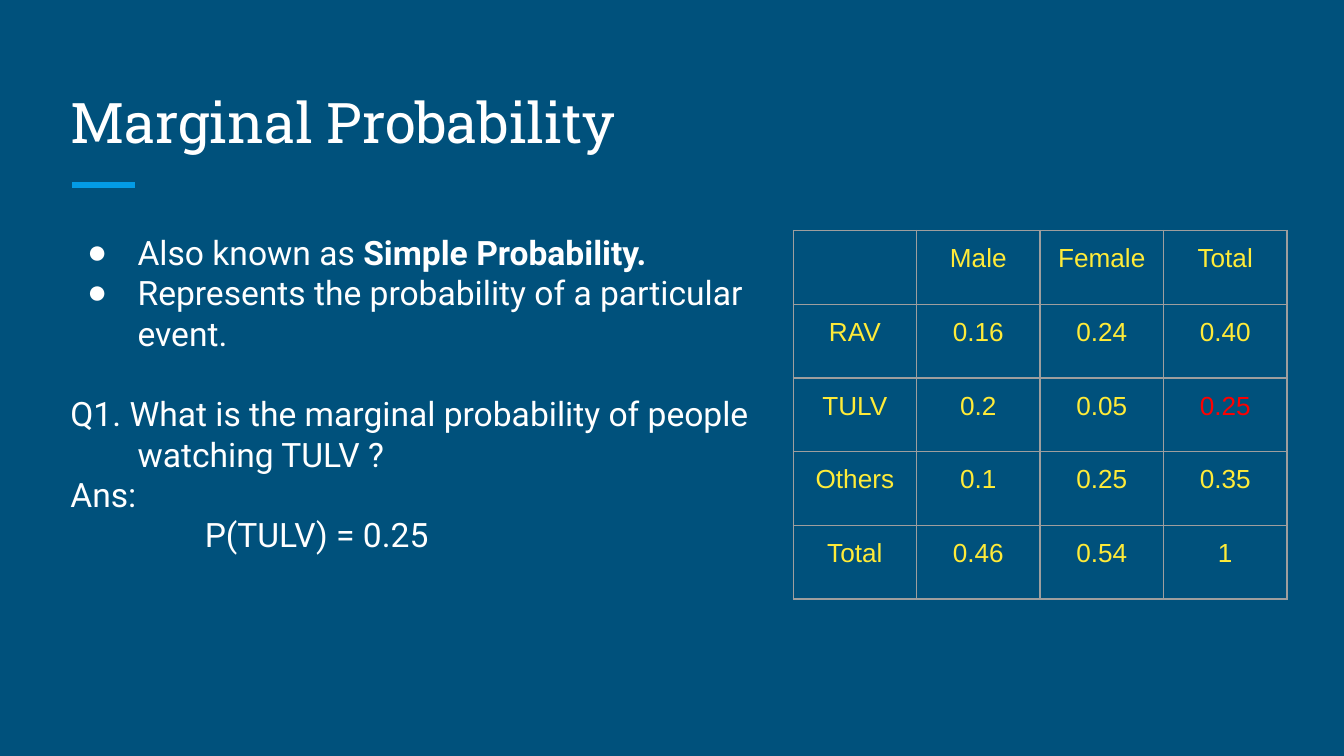
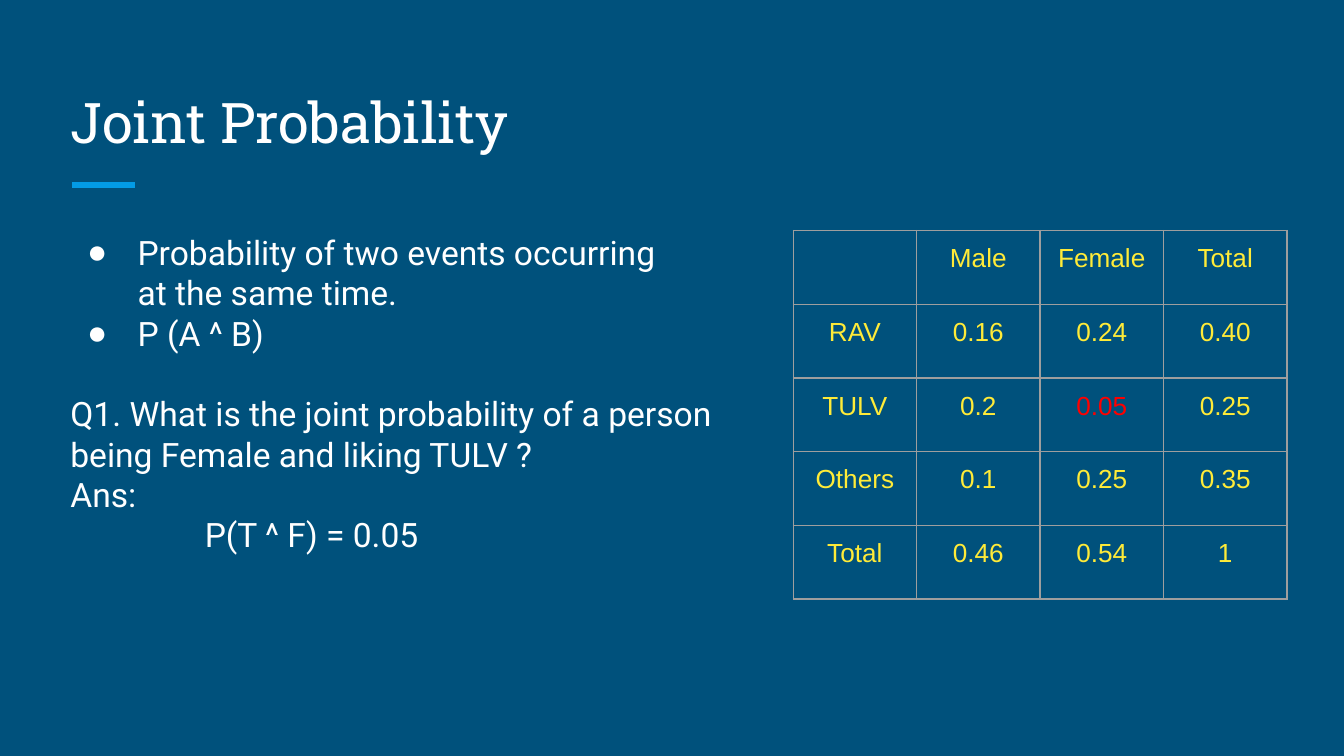
from dataclasses import dataclass

from lxml.etree import SubElement
from pptx import Presentation
from pptx.dml.color import RGBColor
from pptx.enum.shapes import MSO_CONNECTOR
from pptx.enum.text import MSO_ANCHOR, MSO_AUTO_SIZE, PP_ALIGN
from pptx.oxml import parse_xml
from pptx.oxml.ns import nsdecls, qn
from pptx.util import Pt


@dataclass(frozen=True)
class Theme:
    background: str = "00517C"
    accent: str = "039BE5"
    text: str = "FFFFFF"
    table_text: str = "FFEB38"
    highlight: str = "FF0000"
    border: str = "9E9E9E"
    title_font: str = "Roboto Slab"
    body_font: str = "Roboto"
    bullet_font: str = "Arial"
    table_font: str = "Arial"
    title_size: float = 30
    body_size: float = 18
    table_size: float = 14
    body_line: float = 21.6
    accent_width: float = 3
    border_width: float = 0.75
    inset: float = 7.2


THEME = Theme()

FIRST_SHOW = "RAV"
SECOND_SHOW = "TULV"

PROBABILITIES = [
    ["", "Male", "Female", "Total"],
    [FIRST_SHOW, "0.16", "0.24", "0.40"],
    [SECOND_SHOW, "0.2", "0.05", "0.25"],
    ["Others", "0.1", "0.25", "0.35"],
    ["Total", "0.46", "0.54", "1"],
]

BULLET = {"indent": 36, "hanging": 27, "bullet": "●"}
CONTINUATION = {"indent": 36}
QUESTION = {"space_before": THEME.body_line}
ANSWER = {"indent": 72}

SLIDES = [
    {
        "title": "Marginal Probability",
        "lines": [
            ([("Also known as ", False), ("Simple Probability.", True)], BULLET),
            ("Represents the probability of a particular", BULLET),
            ("event.", CONTINUATION),
            ("Q1. What is the marginal probability of people", QUESTION),
            (f"watching {SECOND_SHOW} ?", CONTINUATION),
            ("Ans:", {}),
            (f"P({SECOND_SHOW}) = 0.25", ANSWER),
        ],
        "highlighted": (2, 3),
    },
    {
        "title": "Joint Probability",
        "lines": [
            ("Probability of two events occurring", BULLET),
            ("at the same time.", CONTINUATION),
            ("P (A ^ B)", BULLET),
            ("Q1. What is the joint probability of a person", QUESTION),
            (f"being Female and liking {SECOND_SHOW} ?", {}),
            ("Ans:", {}),
            ("P(T ^ F) = 0.05", ANSWER),
        ],
        "highlighted": (2, 2),
    },
]


def write_text(paragraph, text, *, font, size, color, alignment=PP_ALIGN.LEFT,
               line_spacing=None, space_before=0, indent=0, hanging=0, bullet=None):
    paragraph.alignment = alignment
    paragraph.space_before = Pt(space_before)
    paragraph.space_after = Pt(0)
    if line_spacing:
        paragraph.line_spacing = Pt(line_spacing)
    properties = paragraph._p.get_or_add_pPr()
    properties.set("marL", str(Pt(indent)))
    properties.set("indent", str(-Pt(hanging)))
    if bullet:
        bullet_color = SubElement(properties, qn("a:buClr"))
        SubElement(bullet_color, qn("a:srgbClr"), val=color)
        SubElement(properties, qn("a:buFont"), typeface=THEME.bullet_font)
        SubElement(properties, qn("a:buChar"), char=bullet)
    else:
        SubElement(properties, qn("a:buNone"))
    pieces = [(text, False)] if isinstance(text, str) else text
    for content, bold in pieces:
        run = paragraph.add_run()
        run.text = content
        run.font.name = font
        run.font.size = Pt(size)
        run.font.bold = bold
        run.font.color.rgb = RGBColor.from_string(color)


def place_frame(placeholder, left, top, width, height, anchor):
    placeholder.left, placeholder.top = Pt(left), Pt(top)
    placeholder.width, placeholder.height = Pt(width), Pt(height)
    frame = placeholder.text_frame
    frame.auto_size = MSO_AUTO_SIZE.NONE
    frame.word_wrap = True
    frame.vertical_anchor = anchor
    set_margins(frame)
    return frame


def set_margins(container):
    container.margin_left = container.margin_right = Pt(THEME.inset)
    container.margin_top = container.margin_bottom = Pt(THEME.inset)


def add_accent(slide):
    connector = slide.shapes.add_connector(
        MSO_CONNECTOR.STRAIGHT, Pt(38.6), Pt(99), Pt(72.3), Pt(99))
    connector.line.color.rgb = RGBColor.from_string(THEME.accent)
    connector.line.width = Pt(THEME.accent_width)
    SubElement(connector._element.spPr, qn("a:effectLst"))


def add_title(slide, title):
    frame = place_frame(slide.shapes.title, 30.5, 36, 659, 54, MSO_ANCHOR.BOTTOM)
    write_text(frame.paragraphs[0], title, font=THEME.title_font,
               size=THEME.title_size, color=THEME.text)


def add_body(slide, lines):
    frame = place_frame(slide.placeholders[1], 30.5, 117, 659, 243, MSO_ANCHOR.TOP)
    for index, (text, layout) in enumerate(lines):
        paragraph = frame.add_paragraph() if index else frame.paragraphs[0]
        write_text(paragraph, text, font=THEME.body_font, size=THEME.body_size,
                   color=THEME.text, line_spacing=THEME.body_line, **layout)


def set_borders(cell):
    properties = cell._tc.get_or_add_tcPr()
    for position, side in enumerate(("lnL", "lnR", "lnT", "lnB")):
        border = parse_xml(
            f'<a:{side} {nsdecls("a")} w="{Pt(THEME.border_width)}">'
            f'<a:solidFill><a:srgbClr val="{THEME.border}"/></a:solidFill></a:{side}>')
        properties.insert(position, border)


def add_probability_table(slide, highlighted):
    row_count, column_count = len(PROBABILITIES), len(PROBABILITIES[0])
    column_width, row_height = 66.15, 39.5
    table = slide.shapes.add_table(
        row_count, column_count, Pt(424.9), Pt(123.5),
        Pt(column_width * column_count), Pt(row_height * row_count)).table
    table.first_row = table.horz_banding = False
    for column in table.columns:
        column.width = Pt(column_width)
    for row in table.rows:
        row.height = Pt(row_height)
    for row_index, values in enumerate(PROBABILITIES):
        for column_index, value in enumerate(values):
            cell = table.cell(row_index, column_index)
            cell.fill.background()
            set_margins(cell)
            set_borders(cell)
            if value:
                is_highlighted = (row_index, column_index) == highlighted
                write_text(cell.text_frame.paragraphs[0], value,
                           font=THEME.table_font, size=THEME.table_size,
                           color=THEME.highlight if is_highlighted else THEME.table_text,
                           alignment=PP_ALIGN.CENTER)


def main():
    presentation = Presentation()
    presentation.slide_width, presentation.slide_height = Pt(720), Pt(405)
    background = presentation.slide_master.background.fill
    background.solid()
    background.fore_color.rgb = RGBColor.from_string(THEME.background)
    for content in SLIDES:
        slide = presentation.slides.add_slide(presentation.slide_layouts[1])
        add_accent(slide)
        add_title(slide, content["title"])
        add_body(slide, content["lines"])
        add_probability_table(slide, content["highlighted"])
    presentation.save("out.pptx")


if __name__ == "__main__":
    main()
